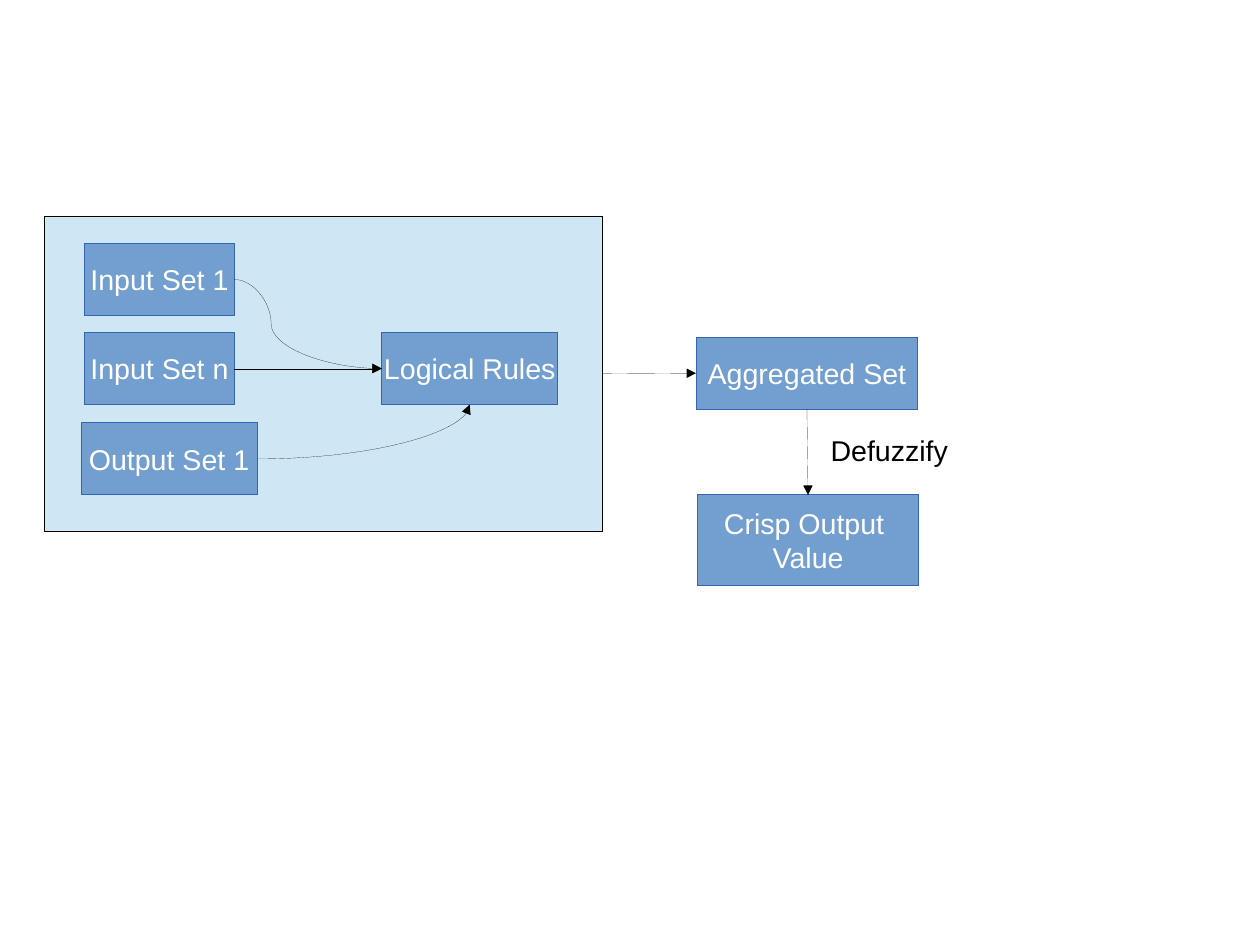
from dataclasses import dataclass

from lxml.etree import SubElement
from pptx import Presentation
from pptx.dml.color import RGBColor
from pptx.enum.shapes import MSO_CONNECTOR, MSO_SHAPE
from pptx.enum.text import MSO_ANCHOR, PP_ALIGN
from pptx.oxml.ns import qn
from pptx.shapes.autoshape import Shape
from pptx.shapes.connector import Connector
from pptx.slide import Slide
from pptx.util import Inches, Pt

TOP, LEFT, BOTTOM, RIGHT = range(4)
CM_PER_INCH = 2.54


@dataclass(frozen=True)
class BoxStyle:
    fill: RGBColor
    line: RGBColor
    text: RGBColor


@dataclass(frozen=True)
class Theme:
    font: str
    text_size: Pt
    arrow: RGBColor
    step: BoxStyle
    panel: BoxStyle
    label: BoxStyle


@dataclass(frozen=True)
class Box:
    name: str
    text: str
    left: float
    top: float
    width: float
    height: float
    style: BoxStyle


@dataclass(frozen=True)
class Arrow:
    """Joins two boxes; a geometry preset makes the arrow curved."""
    start: str
    start_side: int
    end: str
    end_side: int
    curve: str = ""
    bend: int | None = None


BLACK = RGBColor(0x00, 0x00, 0x00)
WHITE = RGBColor(0xFF, 0xFF, 0xFF)
THEME = Theme(
    font="Arial",
    text_size=Pt(18),
    arrow=BLACK,
    step=BoxStyle(RGBColor(0x72, 0x9F, 0xCF), RGBColor(0x34, 0x65, 0xAF), WHITE),
    panel=BoxStyle(RGBColor(0xCF, 0xE7, 0xF5), BLACK, BLACK),
    label=BoxStyle(WHITE, WHITE, BLACK),
)

STEP_HEIGHT = 0.63
SET_TOPS = (2.13, 2.91, 3.7)

BOXES = [
    Box("defuzzify", "Defuzzify", 7.17, 3.62, 1.22, STEP_HEIGHT, THEME.label),
    Box("panel", "", 0.39, 1.89, 4.88, 2.76, THEME.panel),
    *(
        Box(text, text, left, top, width, STEP_HEIGHT, THEME.step)
        for top, (text, left, width) in zip(
            SET_TOPS,
            [("Input Set 1", 0.74, 1.31), ("Input Set n", 0.74, 1.31), ("Output Set 1", 0.71, 1.54)],
        )
    ),
    Box("rules", "Logical Rules", 3.34, SET_TOPS[1], 1.54, STEP_HEIGHT, THEME.step),
    Box("aggregated", "Aggregated Set", 6.09, 2.95, 1.94, STEP_HEIGHT, THEME.step),
    Box("crisp", "Crisp Output \nValue", 6.1, 4.33, 1.94, 0.79, THEME.step),
]

ARROWS = [
    Arrow("Output Set 1", RIGHT, "rules", BOTTOM, "curvedConnector2"),
    Arrow("Input Set n", RIGHT, "rules", LEFT),
    Arrow("Input Set 1", RIGHT, "rules", LEFT, "curvedConnector3", 25000),
    Arrow("panel", RIGHT, "aggregated", LEFT),
    Arrow("aggregated", BOTTOM, "crisp", TOP),
]


def set_hairline(shape: Shape | Connector, color: RGBColor) -> None:
    """Write the zero width explicitly, since line.width drops it."""
    shape.line.color.rgb = color
    shape._element.spPr.find(qn("a:ln")).set("w", "0")


def draw_box(slide: Slide, box: Box) -> Shape:
    shape = slide.shapes.add_shape(
        MSO_SHAPE.RECTANGLE,
        Inches(box.left), Inches(box.top), Inches(box.width), Inches(box.height),
    )
    shape.shadow.inherit = False
    shape.fill.solid()
    shape.fill.fore_color.rgb = box.style.fill
    set_hairline(shape, box.style.line)
    if box.text:
        write_text(shape, box)
    return shape


def write_text(shape: Shape, box: Box) -> None:
    text_frame = shape.text_frame
    text_frame.text = box.text
    text_frame.word_wrap = False
    text_frame.vertical_anchor = MSO_ANCHOR.MIDDLE
    for paragraph in text_frame.paragraphs:
        paragraph.alignment = PP_ALIGN.CENTER
        for run in paragraph.runs:
            run.font.name = THEME.font
            run.font.size = THEME.text_size
            run.font.color.rgb = box.style.text


def draw_arrow(slide: Slide, arrow: Arrow, shapes: dict[str, Shape]) -> None:
    kind = MSO_CONNECTOR.CURVE if arrow.curve else MSO_CONNECTOR.STRAIGHT
    connector = slide.shapes.add_connector(kind, 0, 0, 0, 0)
    connector.begin_connect(shapes[arrow.start], arrow.start_side)
    connector.end_connect(shapes[arrow.end], arrow.end_side)
    set_hairline(connector, THEME.arrow)

    properties = connector._element.spPr
    SubElement(properties.find(qn("a:ln")), qn("a:tailEnd"), type="triangle")
    SubElement(properties, qn("a:effectLst"))
    if arrow.curve:
        geometry = properties.find(qn("a:prstGeom"))
        geometry.set("prst", arrow.curve)
        if arrow.bend is not None:
            adjustments = geometry.find(qn("a:avLst"))
            SubElement(adjustments, qn("a:gd"), name="adj1", fmla=f"val {arrow.bend}")


def main() -> None:
    presentation = Presentation()
    presentation.slide_width = Inches(28 / CM_PER_INCH)
    presentation.slide_height = Inches(21 / CM_PER_INCH)
    slide = presentation.slides.add_slide(presentation.slide_layouts[6])
    shapes = {box.name: draw_box(slide, box) for box in BOXES}
    for arrow in ARROWS:
        draw_arrow(slide, arrow, shapes)
    presentation.save("out.pptx")


if __name__ == "__main__":
    main()
